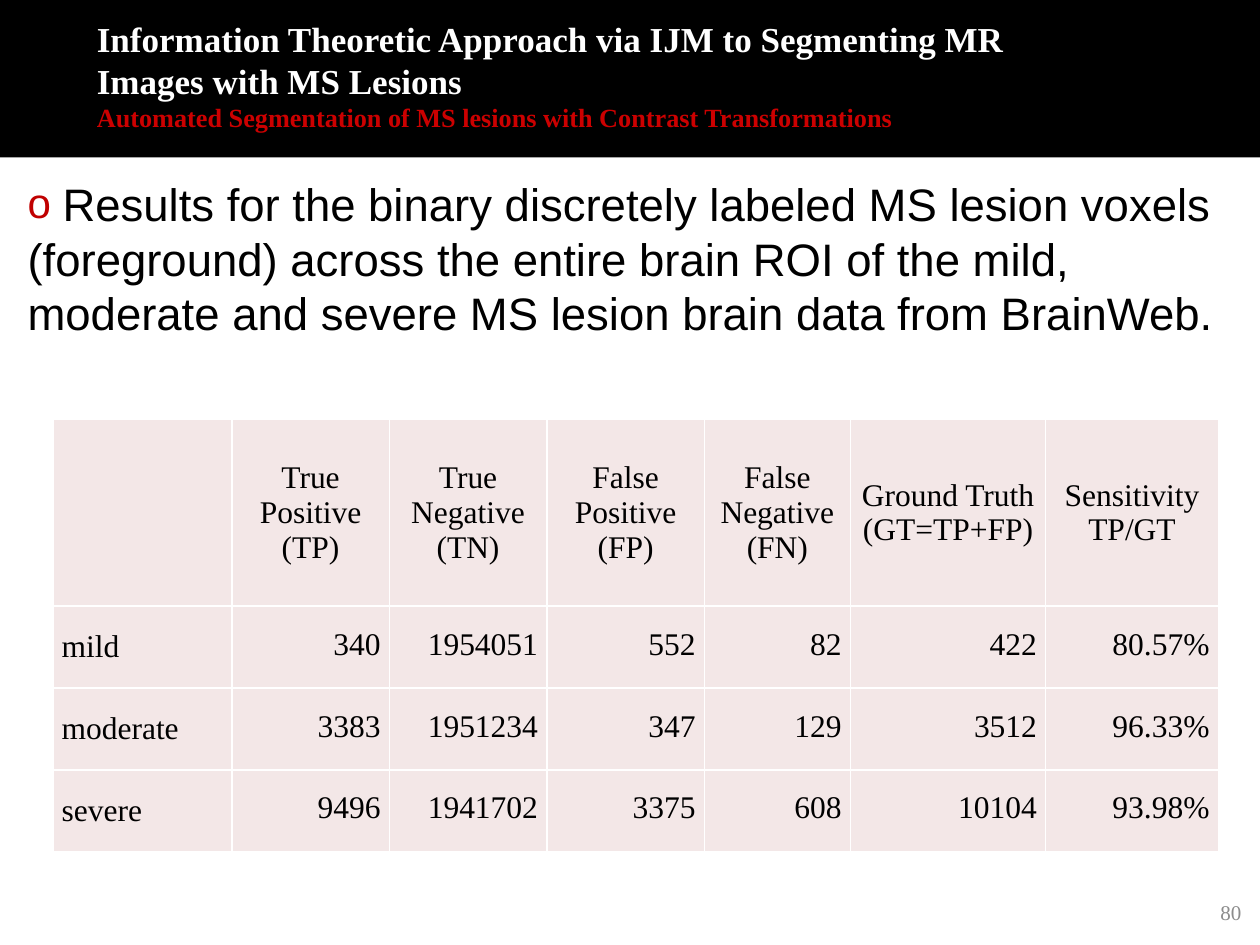
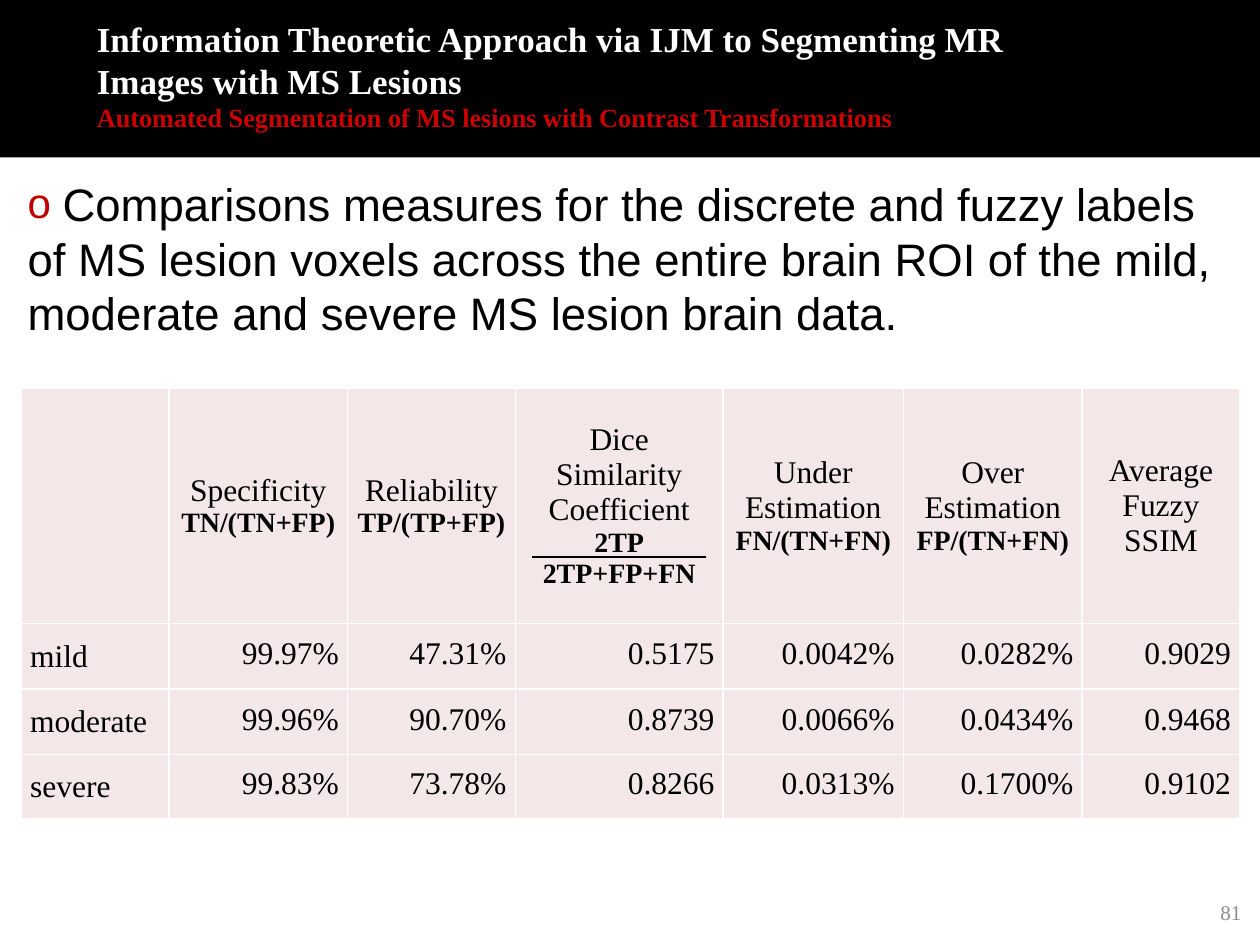
from lxml import etree
from pptx import Presentation
from pptx.dml.color import RGBColor
from pptx.enum.shapes import MSO_CONNECTOR, MSO_SHAPE
from pptx.enum.text import MSO_ANCHOR, PP_ALIGN
from pptx.oxml.ns import qn
from pptx.util import Inches, Pt

RECTANGLE = MSO_SHAPE.RECTANGLE
STRAIGHT = MSO_CONNECTOR.STRAIGHT
MIDDLE = MSO_ANCHOR.MIDDLE
CENTER, RIGHT, JUSTIFY = PP_ALIGN.CENTER, PP_ALIGN.RIGHT, PP_ALIGN.JUSTIFY

BLACK, WHITE, GREY = "000000", "FFFFFF", "8C8C8C"
SUBTITLE_RED, BULLET_RED, CELL_PINK = "CC0000", "C00000", "F3E7E7"
SERIF, SANS = "Times New Roman", "Arial"

TITLE = "Information Theoretic Approach via IJM to Segmenting MR Images with MS Lesions"
SUBTITLE = "Automated Segmentation of MS lesions with Contrast Transformations"

# A header cell is a list of lines; lines in FORMULAS are smaller and bold.
FORMULAS = {"TN/(TN+FP)", "TP/(TP+FP)", "2TP", "2TP+FP+FN", "FN/(TN+FN)", "FP/(TN+FN)"}

SLIDES = [
    {
        "number": 80,
        "statement": "Results for the binary discretely labeled MS lesion voxels (foreground) across "
                     "the entire brain ROI of the mild, moderate and severe MS lesion brain data "
                     "from BrainWeb.",
        "table_at": (0.42, 3.33),
        "columns": [1.42, 1.25, 1.25, 1.25, 1.16, 1.55, 1.37],
        "rows": [1.48, 0.65, 0.65, 0.65],
        "headers": [["True Positive (TP)"], ["True Negative (TN)"], ["False Positive", "(FP)"],
                    ["False", "Negative (FN)"], ["Ground Truth", "(GT=TP+FP)"],
                    ["Sensitivity", "TP/GT"]],
        "values": [
            ["mild", "340", "1954051", "552", "82", "422", "80.57%"],
            ["moderate", "3383", "1951234", "347", "129", "3512", "96.33%"],
            ["severe", "9496", "1941702", "3375", "608", "10104", "93.98%"],
        ],
    },
    {
        "number": 81,
        "statement": "Comparisons measures for the discrete and fuzzy labels of MS lesion voxels "
                     "across the entire brain ROI of the mild, moderate and severe MS lesion "
                     "brain data.",
        "table_at": (0.17, 3.08),
        "columns": [1.17, 1.42, 1.33, 1.65, 1.43, 1.42, 1.25],
        "rows": [1.87, 0.52, 0.52, 0.51],
        "headers": [["Specificity", "TN/(TN+FP)"], ["Reliability", "TP/(TP+FP)"],
                    ["Dice Similarity", "Coefficient", "2TP", "2TP+FP+FN"],
                    ["Under Estimation", "FN/(TN+FN)"], ["Over Estimation", "FP/(TN+FN)"],
                    ["Average", "Fuzzy", "SSIM"]],
        "values": [
            ["mild", "99.97%", "47.31%", "0.5175", "0.0042%", "0.0282%", "0.9029"],
            ["moderate", "99.96%", "90.70%", "0.8739", "0.0066%", "0.0434%", "0.9468"],
            ["severe", "99.83%", "73.78%", "0.8266", "0.0313%", "0.1700%", "0.9102"],
        ],
        "fraction_bar": (4.22, 5.6, 4.42),
    },
]


def set_font(font, size, color, name=SERIF, bold=False):
    font.size, font.name, font.bold = Pt(size), name, bold
    font.color.rgb = RGBColor.from_string(color)


def add_text_box(slide, left, top, width, height):
    """Add a wrapping text box and return its text frame."""
    frame = slide.shapes.add_textbox(Inches(left), Inches(top), Inches(width),
                                     Inches(height)).text_frame
    frame.word_wrap = True
    return frame


presentation = Presentation()
presentation.slide_width, presentation.slide_height = Inches(10), Inches(7.5)

for content in SLIDES:
    slide = presentation.slides.add_slide(presentation.slide_layouts[6])

    band = slide.shapes.add_shape(RECTANGLE, 0, 0, Inches(10), Inches(1.25))
    band.shadow.inherit = False
    band.fill.solid()
    band.fill.fore_color.rgb = RGBColor.from_string(BLACK)
    band.line.fill.background()

    # Bulleted statement
    paragraph = add_text_box(slide, 0.12, 1.35, 9.88, 1.57).paragraphs[0]
    properties = paragraph._p.get_or_add_pPr()
    properties.set("marL", "0")
    properties.set("indent", "0")
    bullet_color = etree.SubElement(properties, qn("a:buClr"))
    etree.SubElement(bullet_color, qn("a:srgbClr"), val=BULLET_RED)
    etree.SubElement(properties, qn("a:buFont"), typeface=SANS)
    etree.SubElement(properties, qn("a:buChar"), char="o")
    for text, size in ((" ", 24), (content["statement"], 26)):
        run = paragraph.add_run()
        run.text = text
        set_font(run.font, size, BLACK, SANS)

    # Title and subtitle
    frame = add_text_box(slide, 0.67, -0.03, 8.22, 1.25)
    frame.vertical_anchor = MIDDLE
    for paragraph, text, size, color in (
            (frame.paragraphs[0], TITLE, 20, WHITE),
            (frame.add_paragraph(), SUBTITLE, 15, SUBTITLE_RED)):
        paragraph.text = text
        set_font(paragraph.font, size, color, bold=True)

    # Results table
    left, top = content["table_at"]
    columns, rows = content["columns"], content["rows"]
    table = slide.shapes.add_table(len(rows), len(columns), Inches(left), Inches(top),
                                   Inches(sum(columns)), Inches(sum(rows))).table
    table.first_row = table.horz_banding = False
    for column, width in zip(table.columns, columns):
        column.width = Inches(width)
    for row, height in zip(table.rows, rows):
        row.height = Inches(height)

    grid = [[[""]] + content["headers"]]
    grid += [[[value] for value in values] for values in content["values"]]
    for row_index, row_cells in enumerate(grid):
        for column_index, lines in enumerate(row_cells):
            cell = table.cell(row_index, column_index)
            cell.fill.solid()
            cell.fill.fore_color.rgb = RGBColor.from_string(CELL_PINK)
            cell.vertical_anchor = MIDDLE
            cell.margin_left = cell.margin_right = Inches(0.07)
            cell.margin_top = cell.margin_bottom = 0
            cell.text = "\n".join(lines)
            for paragraph in cell.text_frame.paragraphs:
                formula = paragraph.text in FORMULAS
                set_font(paragraph.font, 16 if formula else 18, BLACK, bold=formula)
                if row_index == 0:
                    paragraph.alignment = CENTER
                elif column_index == 0:
                    paragraph.alignment = JUSTIFY
                else:
                    paragraph.alignment = RIGHT
                    paragraph.line_spacing = Pt(17)

    if "fraction_bar" in content:
        start, end, height = content["fraction_bar"]
        bar = slide.shapes.add_connector(STRAIGHT, Inches(start), Inches(height),
                                         Inches(end), Inches(height))
        bar.line.width = Pt(1)
        bar.line.color.rgb = RGBColor.from_string(BLACK)
        etree.SubElement(bar._element.spPr, qn("a:effectLst"))

    # Slide number
    frame = add_text_box(slide, 9.4, 7.04, 0.55, 0.4)
    frame.vertical_anchor = MIDDLE
    paragraph = frame.paragraphs[0]
    paragraph.text = str(content["number"])
    paragraph.alignment = RIGHT
    set_font(paragraph.font, 12, GREY)

presentation.save("out.pptx")
